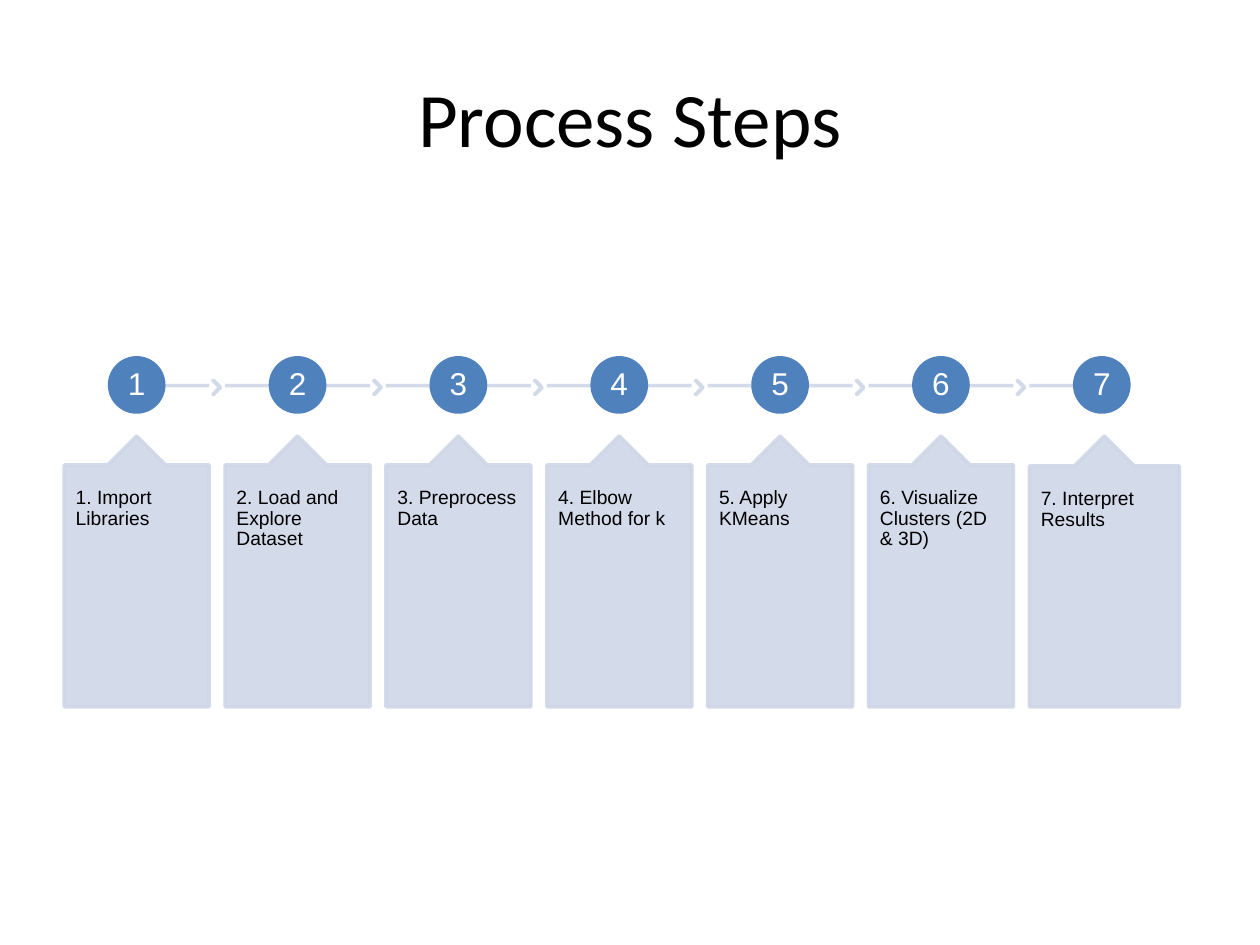
from lxml import etree
from pptx import Presentation, util as u
from pptx.dml.color import RGBColor
from pptx.enum import shapes as s, text as t
from pptx.oxml.ns import qn

# Content
TITLE = "Process Steps"
STEPS = [
    "Import Libraries",
    "Load and Explore Dataset",
    "Preprocess Data",
    "Elbow Method for k",
    "Apply KMeans",
    "Visualize Clusters (2D & 3D)",
    "Interpret Results",
]

THEME = {
    "blue": "4F81BD", "pale": "CFD7E7", "white": "FFFFFF", "black": "000000",
    "head": "Calibri", "body": "Arial",
    "title": 44, "num": 18, "label": 11, "line": 2, "alpha": 90,
}

# Layout in inches
LEFT, LAST = 0.51, 8.17
PITCH = (LAST - LEFT) / (len(STEPS) - 1)
CARD_W, WIDE_W, CARD_H, CARD_Y = 1.15, 1.19, 2.15, 3.46
DOT, DOT_X, DOT_Y = 0.43, 0.36, 2.84
LINE_Y = 3.06
TIP_X, TIP_Y, TIP_W, TIP_H = 1.18, 3.02, 0.06, 0.11


def color(name):
    return RGBColor.from_string(THEME[name])


def fade(shape):
    for clr in shape.element.spPr.iter(qn("a:srgbClr")):
        etree.SubElement(clr, qn("a:alpha"), val=str(THEME["alpha"] * 1000))


def add_part(slide, kind, box, name, adjust=()):
    shape = slide.shapes.add_shape(kind, *map(u.Inches, box))
    shape.shadow.inherit = False
    shape.fill.solid()
    shape.fill.fore_color.rgb = color(name)
    shape.line.color.rgb = color(name)
    shape.line.width = u.Pt(THEME["line"])
    for i, value in enumerate(adjust):
        shape.adjustments[i] = value
    if name == "pale":
        fade(shape)
    return shape


def add_line(slide, start, end):
    line = slide.shapes.add_connector(
        s.MSO_CONNECTOR.STRAIGHT, u.Inches(start), u.Inches(LINE_Y),
        u.Inches(end), u.Inches(LINE_Y))
    line.line.color.rgb = color("pale")
    line.line.width = u.Pt(THEME["line"])
    fade(line)
    etree.SubElement(line.element.spPr, qn("a:effectLst"))


def put_text(shape, words, font, size, tone, align, anchor, pad, gap=None):
    frame = shape.text_frame
    frame.word_wrap = True
    frame.vertical_anchor = anchor
    frame.margin_left = frame.margin_right = u.Inches(pad[0])
    frame.margin_top = frame.margin_bottom = u.Inches(pad[1])
    para = frame.paragraphs[0]
    para.alignment = align
    para.line_spacing = gap
    run = para.add_run()
    run.text = words
    run.font.name = THEME[font]
    run.font.size = u.Pt(THEME[size])
    run.font.color.rgb = color(tone)


def add_step(slide, i, label):
    x = LEFT + i * PITCH
    first, last = i == 0, i == len(STEPS) - 1
    mid = x + CARD_W / 2

    # Track: half length at both ends, with a chevron between steps
    add_line(slide, mid if first else x, mid if last else x + CARD_W)
    if not last:
        add_part(slide, s.MSO_SHAPE.CHEVRON,
                 (x + TIP_X, TIP_Y, TIP_W, TIP_H), "pale", [0.9])

    # Numbered dot
    dot = add_part(slide, s.MSO_SHAPE.OVAL, (x + DOT_X, DOT_Y, DOT, DOT), "blue")
    put_text(dot, str(i + 1), "body", "num", "white", t.PP_ALIGN.CENTER,
             t.MSO_ANCHOR.MIDDLE, (0.02, 0.02), 0.9)

    # Callout card
    card = add_part(slide, s.MSO_SHAPE.UP_ARROW_CALLOUT,
                    (x, CARD_Y, WIDE_W if last else CARD_W, CARD_H),
                    "pale", [0.5, 0.2, 0.2, 1])
    put_text(card, f"{i + 1}. {label}", "body", "label", "black",
             t.PP_ALIGN.LEFT, t.MSO_ANCHOR.TOP, (0.09, 0.18), 0.9)


def main():
    deck = Presentation()
    deck.slide_width, deck.slide_height = u.Inches(10), u.Inches(7.5)
    slide = deck.slides.add_slide(deck.slide_layouts[6])

    # Title
    head = slide.shapes.add_textbox(*map(u.Inches, (0.5, 0.3, 9, 1.25)))
    put_text(head, TITLE, "head", "title", "black", t.PP_ALIGN.CENTER,
             t.MSO_ANCHOR.MIDDLE, (0.1, 0.05))

    # Steps
    for i, label in enumerate(STEPS):
        add_step(slide, i, label)
    deck.save("out.pptx")


if __name__ == "__main__":
    main()
